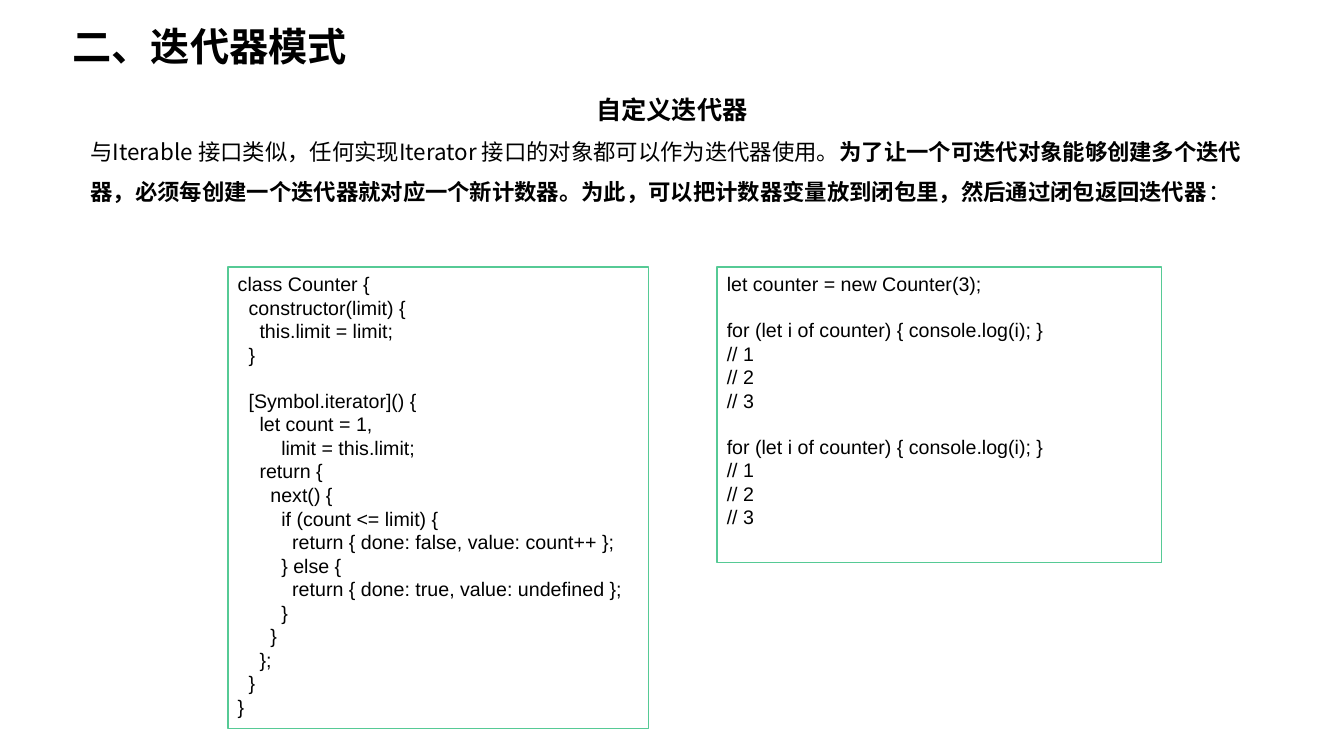
from dataclasses import dataclass

from pptx import Presentation
from pptx.dml.color import RGBColor
from pptx.enum.shapes import MSO_SHAPE
from pptx.enum.text import MSO_ANCHOR, PP_ALIGN
from pptx.oxml.ns import qn
from pptx.util import Inches, Pt

COLORS = {"text": "000000", "panel": "FFFFFF", "border": "56CA95"}
LATIN_FONT = "Arial"
CHINESE_FONT = "Noto Sans CJK SC"
CODE_SIZE = 14
CODE_LINE_HEIGHT = 1.15 * CODE_SIZE
SPACE_WIDTH = Inches(0.054)

COUNTER_CLASS = """
class Counter {
  constructor(limit) {
    this.limit = limit;
  }

  [Symbol.iterator]() {
    let count = 1,
        limit = this.limit;
    return {
      next() {
        if (count <= limit) {
          return { done: false, value: count++ };
        } else {
          return { done: true, value: undefined };
        }
      }
    };
  }
}
"""

COUNTER_LOOP = """
for (let i of counter) { console.log(i); }
// 1
// 2
// 3
"""
COUNTER_USAGE = "let counter = new Counter(3);\n" + COUNTER_LOOP * 2


@dataclass
class CodePanel:
    left: float
    width: float
    height: float
    code: str


CODE_PANELS = [
    CodePanel(2.26, 4.17, 4.58, COUNTER_CLASS),
    CodePanel(7.11, 4.41, 2.93, COUNTER_USAGE),
]


def add_text(paragraph, text: str, *, size: float, font: str = LATIN_FONT,
             bold: bool = False, color: str = "text") -> None:
    run = paragraph.add_run()
    run.text = text
    run.font.name = font
    run.font.size = Pt(size)
    run.font.bold = bold
    run.font.color.rgb = RGBColor.from_string(COLORS[color])
    east_asian = run.font._element.makeelement(qn("a:ea"), {"typeface": CHINESE_FONT})
    run.font._element.find(qn("a:latin")).addnext(east_asian)


def add_panel(slide, left: float, top: float, width: float, height: float,
              border: str | None = None):
    shape = slide.shapes.add_shape(
        MSO_SHAPE.RECTANGLE, Inches(left), Inches(top), Inches(width), Inches(height))
    shape.shadow.inherit = False
    shape.fill.solid()
    shape.fill.fore_color.rgb = RGBColor.from_string(COLORS["panel"])
    if border:
        shape.line.color.rgb = RGBColor.from_string(COLORS[border])
        shape.line.width = Pt(1)
    else:
        shape.line.fill.background()
    frame = shape.text_frame
    frame.word_wrap = True
    frame.vertical_anchor = MSO_ANCHOR.TOP
    frame.paragraphs[0].alignment = PP_ALIGN.LEFT
    return frame


def add_code(frame, code: str) -> None:
    paragraph = frame.paragraphs[0]
    blank_lines = 0
    for number, line in enumerate(code.strip().splitlines()):
        if not line:
            blank_lines += 1
            continue
        if number:
            paragraph = frame.add_paragraph()
        paragraph.alignment = PP_ALIGN.LEFT
        paragraph.space_before = Pt(blank_lines * CODE_LINE_HEIGHT)
        statement = line.lstrip()
        indent = (len(line) - len(statement)) * SPACE_WIDTH
        properties = paragraph._p.get_or_add_pPr()
        properties.set("marL", str(indent))
        properties.set("indent", "0")
        add_text(paragraph, statement, size=CODE_SIZE)
        blank_lines = 0


def add_title(slide, text: str) -> None:
    title = slide.shapes.title
    title.left, title.top = Inches(0.62), Inches(0.17)
    title.width, title.height = Inches(6.76), Inches(0.57)
    title.text_frame.vertical_anchor = MSO_ANCHOR.TOP
    paragraph = title.text_frame.paragraphs[0]
    paragraph.alignment = PP_ALIGN.LEFT
    add_text(paragraph, text, size=28, bold=True)


def add_introduction(slide) -> None:
    frame = add_panel(slide, 0.8, 0.74, 11.73, 1.77)
    heading = frame.paragraphs[0]
    heading.alignment = PP_ALIGN.CENTER
    heading.line_spacing = 1.5
    add_text(heading, "自定义迭代器", size=18, font=CHINESE_FONT, bold=True)
    body = frame.add_paragraph()
    body.alignment = PP_ALIGN.LEFT
    body.line_spacing = 1.5
    for text, bold in [
        ("与Iterable 接口类似，任何实现Iterator 接口的对象都可以作为迭代器使用。", False),
        ("为了让一个可迭代对象能够创建多个迭代器，必须每创建一个迭代器就对应一个新计数器。"
         "为此，可以把计数器变量放到闭包里，然后通过闭包返回迭代器", True),
        ("：", False),
    ]:
        add_text(body, text, size=16, font=CHINESE_FONT, bold=bold)


presentation = Presentation()
presentation.slide_width, presentation.slide_height = Inches(13.33), Inches(7.5)
slide = presentation.slides.add_slide(presentation.slide_layouts[5])
add_title(slide, "二、迭代器模式")
add_introduction(slide)
for panel in CODE_PANELS:
    frame = add_panel(slide, panel.left, 2.65, panel.width, panel.height, "border")
    add_code(frame, panel.code)
presentation.save("out.pptx")
